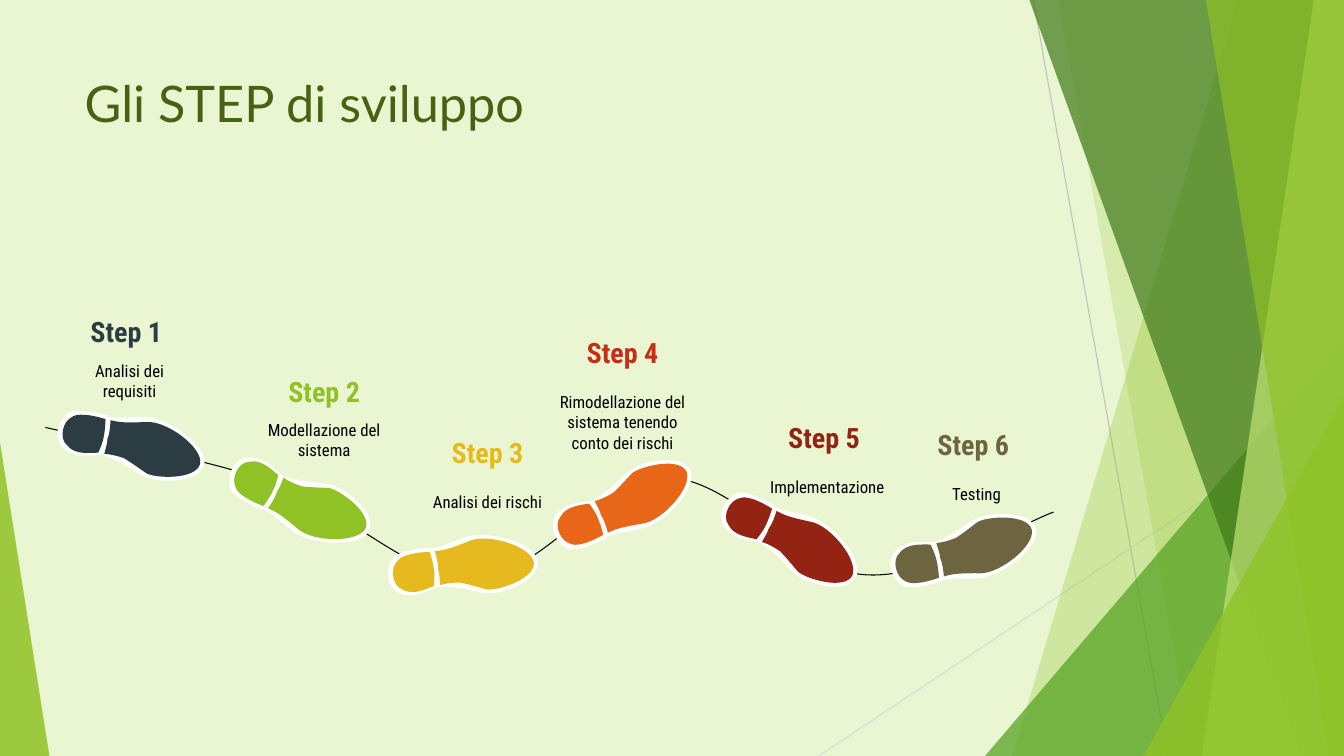
from math import cos, radians, sin
from typing import NamedTuple

from lxml.etree import SubElement
from pptx import Presentation
from pptx.dml.color import RGBColor
from pptx.enum.shapes import MSO_CONNECTOR, MSO_SHAPE
from pptx.enum.text import MSO_ANCHOR, PP_ALIGN
from pptx.oxml.ns import qn
from pptx.util import Inches, Pt

WIDTH, HEIGHT = 13.33, 7.5
TITLE_FONT, STEP_FONT = "Lato", "Roboto Condensed"

PALE_GREEN = RGBColor(0xEA, 0xF6, 0xD1)
TITLE_GREEN = RGBColor(0x48, 0x61, 0x13)
LIME = RGBColor(0x90, 0xC2, 0x26)
GRASS = RGBColor(0x54, 0xA0, 0x21)
FOREST = RGBColor(0x3F, 0x78, 0x19)
LIGHT_LIME = RGBColor(0xC0, 0xE4, 0x74)
SILVER = RGBColor(0xBF, 0xBF, 0xBF)
LIGHT_GREY = RGBColor(0xD9, 0xD9, 0xD9)
WHITE = RGBColor(0xFF, 0xFF, 0xFF)
BLACK = RGBColor(0x00, 0x00, 0x00)
SLATE = RGBColor(0x2C, 0x3C, 0x43)
GOLD = RGBColor(0xE6, 0xB9, 0x1E)
ORANGE = RGBColor(0xE7, 0x66, 0x18)
RED = RGBColor(0xC4, 0x2F, 0x1A)
DARK_RED = RGBColor(0x93, 0x23, 0x13)
OLIVE = RGBColor(0x6D, 0x65, 0x40)

# Outlines of a shoe pointing right, in inches from the heel's centre:
# a start point, then cubic curves of three points each
HEEL_EDGE = [
    (.24, -.01), (.24, -.08), (.23, -.17), (.22, -.24),
    (.09, -.25), (-.09, -.24), (-.16, -.19), (-.2, -.14), (-.23, -.08), (-.23, -.01),
    (-.23, .06), (-.21, .12), (-.14, .17), (-.03, .24), (.13, .19), (.23, .16),
    (.24, .11), (.24, .05), (.24, -.01)]
SOLE_EDGE = [
    (1.26, .03), (1.26, -.16), (.81, -.35), (.57, -.3),
    (.49, -.28), (.32, -.23), (.22, -.23), (.21, -.23), (.19, -.23), (.16, -.24),
    (.18, -.15), (.18, -.08), (.18, -.01), (.18, .05), (.18, .11), (.17, .16),
    (.22, .15), (.31, .15), (.4, .18), (.51, .2), (.63, .26), (.69, .27),
    (.82, .32), (1.26, .23), (1.26, .03)]
HEEL = [
    (.23, -.01), (.23, -.08), (.22, -.14), (.21, -.2),
    (.11, -.21), (-.05, -.21), (-.11, -.16), (-.16, -.12), (-.18, -.07), (-.18, -.01),
    (-.18, .05), (-.16, .11), (-.1, .14), (-.01, .21), (.13, .16), (.21, .14),
    (.22, .09), (.23, .04), (.23, -.01)]
SOLE = [
    (1.22, .03), (1.21, -.13), (.81, -.31), (.62, -.26),
    (.54, -.24), (.4, -.2), (.31, -.2), (.3, -.2), (.28, -.2), (.26, -.2),
    (.27, -.14), (.28, -.07), (.27, -.01), (.28, .04), (.27, .09), (.27, .14),
    (.32, .13), (.39, .13), (.47, .14), (.56, .17), (.67, .22), (.72, .24),
    (.82, .27), (1.22, .2), (1.22, .03)]
TRAIL = [
    (.45, 4.24), (.83, 4.33), (2.01, 4.54), (2.72, 4.79),
    (3.43, 5.04), (4.06, 5.74), (4.7, 5.74), (5.35, 5.73), (5.97, 4.74), (6.61, 4.74),
    (7.25, 4.73), (7.92, 5.65), (8.56, 5.7), (9.2, 5.76), (10.14, 5.19), (10.45, 5.08)]


class Step(NamedTuple):
    heading: str
    caption: str
    color: RGBColor
    heading_color: RGBColor
    heel: tuple
    angle: float
    label: tuple  # left, top, width, heading height, caption offset, caption height


STEPS = [
    Step("Step 1 ", "Analisi dei requisiti", SLATE, SLATE, (.8, 4.31), 12.2,
         (.59, 3.15, 1.39, .28, .36, .53)),
    Step("Step 2", "Modellazione del sistema", LIME, LIME, (2.51, 4.75), 25.4,
         (2.52, 3.74, 1.39, .28, .36, .53)),
    Step("Step 3", "Analisi dei rischi", GOLD, GOLD, (4.08, 5.7), -7.2,
         (4.14, 4.35, 1.39, .28, .36, .53)),
    Step("Step 4", "Rimodellazione del sistema tenendo conto dei rischi", ORANGE, RED,
         (5.71, 5.21), -24.2, (5.44, 3.29, 1.47, .41, .52, .76)),
    Step("Step 5 ", "Implementazione", DARK_RED, DARK_RED, (7.38, 5.13), 26.9,
         (7.51, 4.2, 1.39, .28, .36, .53)),
    Step("Step 6 ", "Testing", OLIVE, OLIVE, (9.06, 5.59), -14.4,
         (8.99, 4.27, 1.39, .28, .36, .53)),
]


def paint(shape, color, opacity=100):
    shape.shadow.inherit = False
    shape.fill.solid()
    shape.fill.fore_color.rgb = color
    shape.line.fill.background()
    if opacity < 100:
        color_element = shape.fill._xPr.find(qn("a:solidFill"))[0]
        SubElement(color_element, qn("a:alpha"), val=str(opacity * 1000))


def add_outline(slide, points, close=True):
    first, *rest = [(Inches(x), Inches(y)) for x, y in points]
    builder = slide.shapes.build_freeform(*first)
    builder.add_line_segments(rest, close=close)
    return builder.convert_to_shape()


def add_curve(slide, points, close=True):
    """An outline whose segments are joined, three at a time, into cubic curves."""
    shape = add_outline(slide, points, close)
    segments = list(shape._element.iter(qn("a:lnTo")))
    for i in range(0, len(points) - 1, 3):
        curve = segments[i]
        curve.tag = qn("a:cubicBezTo")
        for segment in segments[i + 1:i + 3]:
            curve.append(segment[0])
            segment.getparent().remove(segment)
    return shape


def add_triangle(slide, left, top, apex, color, opacity, width):
    shape = slide.shapes.add_shape(
        MSO_SHAPE.ISOSCELES_TRIANGLE, Inches(left), Inches(top),
        Inches(width), Inches(HEIGHT - top))
    shape.adjustments[0] = apex
    paint(shape, color, opacity)


def add_right_panel(slide, top_left, bottom_left, color, opacity):
    """A band from a slanted left edge to the slide's right edge."""
    corners = [(top_left, 0), (WIDTH, 0), (WIDTH, HEIGHT), (bottom_left, HEIGHT)]
    paint(add_outline(slide, corners), color, opacity)


def add_decoration(slide):
    for start, end, color in (((10.25, 0), (11.58, HEIGHT), SILVER),
                              ((WIDTH, 4.03), (8.12, HEIGHT), LIGHT_GREY)):
        line = slide.shapes.add_connector(
            MSO_CONNECTOR.STRAIGHT, *(Inches(value) for value in start + end))
        line.line.color.rgb = color
        line.line.width = Pt(.75)
        SubElement(line._element.spPr, qn("a:effectLst"))
    add_right_panel(slide, 12.28, 10.04, LIME, 30)
    add_right_panel(slide, 10.5, 11.83, LIME, 20)
    add_triangle(slide, 9.77, 3.33, 1, GRASS, 72, WIDTH - 9.77)
    add_right_panel(slide, 10.21, 12.91, FOREST, 70)
    add_right_panel(slide, 13.03, 11.92, LIGHT_LIME, 70)
    add_right_panel(slide, 11.96, 13.18, LIME, 65)
    add_triangle(slide, 11.34, 3.93, 1, LIME, 80, WIDTH - 11.34)
    add_triangle(slide, 0, 4.39, 0, LIME, 85, .49)


def add_title(slide, left, top, width, height):
    title = slide.shapes.title
    title.left, title.top, title.width, title.height = map(Inches, (left, top, width, height))
    title.text_frame.text = "Gli STEP di sviluppo"
    title.text_frame.vertical_anchor = MSO_ANCHOR.TOP
    format_paragraph(title.text_frame.paragraphs[0], TITLE_FONT, 36, TITLE_GREEN, PP_ALIGN.LEFT)


def format_paragraph(paragraph, font_name, size, color, alignment, bold=False):
    paragraph.alignment = alignment
    font = paragraph.runs[0].font
    font.name, font.size, font.bold = font_name, Pt(size), bold
    font.color.rgb = color


def add_trail(slide):
    trail = add_curve(slide, TRAIL, close=False)
    trail.shadow.inherit = False
    trail.fill.background()
    trail.line.color.rgb = BLACK
    trail.line.width = Pt(.75)


def add_footprint(slide, heel, angle, color, side):
    """Side is 1 for one shoe and -1 for its mirrored partner."""
    cosine, sine = cos(radians(angle)), sin(radians(angle))
    for outline, fill in ((HEEL_EDGE, WHITE), (SOLE_EDGE, WHITE), (HEEL, color), (SOLE, color)):
        points = [(heel[0] + x * cosine - side * y * sine, heel[1] + x * sine + side * y * cosine)
                  for x, y in outline]
        paint(add_curve(slide, points), fill)


def add_label(slide, box, text, size, color, bold=False):
    text_frame = slide.shapes.add_textbox(*map(Inches, box)).text_frame
    text_frame.word_wrap = True
    text_frame.vertical_anchor = MSO_ANCHOR.MIDDLE
    text_frame.margin_left = text_frame.margin_right = Inches(.1)
    text_frame.margin_top = text_frame.margin_bottom = Inches(.1)
    text_frame.text = text
    format_paragraph(text_frame.paragraphs[0], STEP_FONT, size, color, PP_ALIGN.CENTER, bold)


def add_step(slide, step, side):
    add_footprint(slide, step.heel, step.angle, step.color, side)
    left, top, width, height, offset, caption_height = step.label
    add_label(slide, (left, top, width, height), step.heading, 20, step.heading_color, True)
    add_label(slide, (left, top + offset, width, caption_height), step.caption, 12, BLACK)


presentation = Presentation()
presentation.slide_width, presentation.slide_height = Inches(WIDTH), Inches(HEIGHT)
slide = presentation.slides.add_slide(presentation.slide_layouts[5])
slide.background.fill.solid()
slide.background.fill.fore_color.rgb = PALE_GREEN
add_decoration(slide)
add_title(slide, .74, .67, 9.4, 1.44)
add_trail(slide)
for index, step in enumerate(STEPS):
    add_step(slide, step, -1 if index % 2 else 1)
presentation.save("out.pptx")
